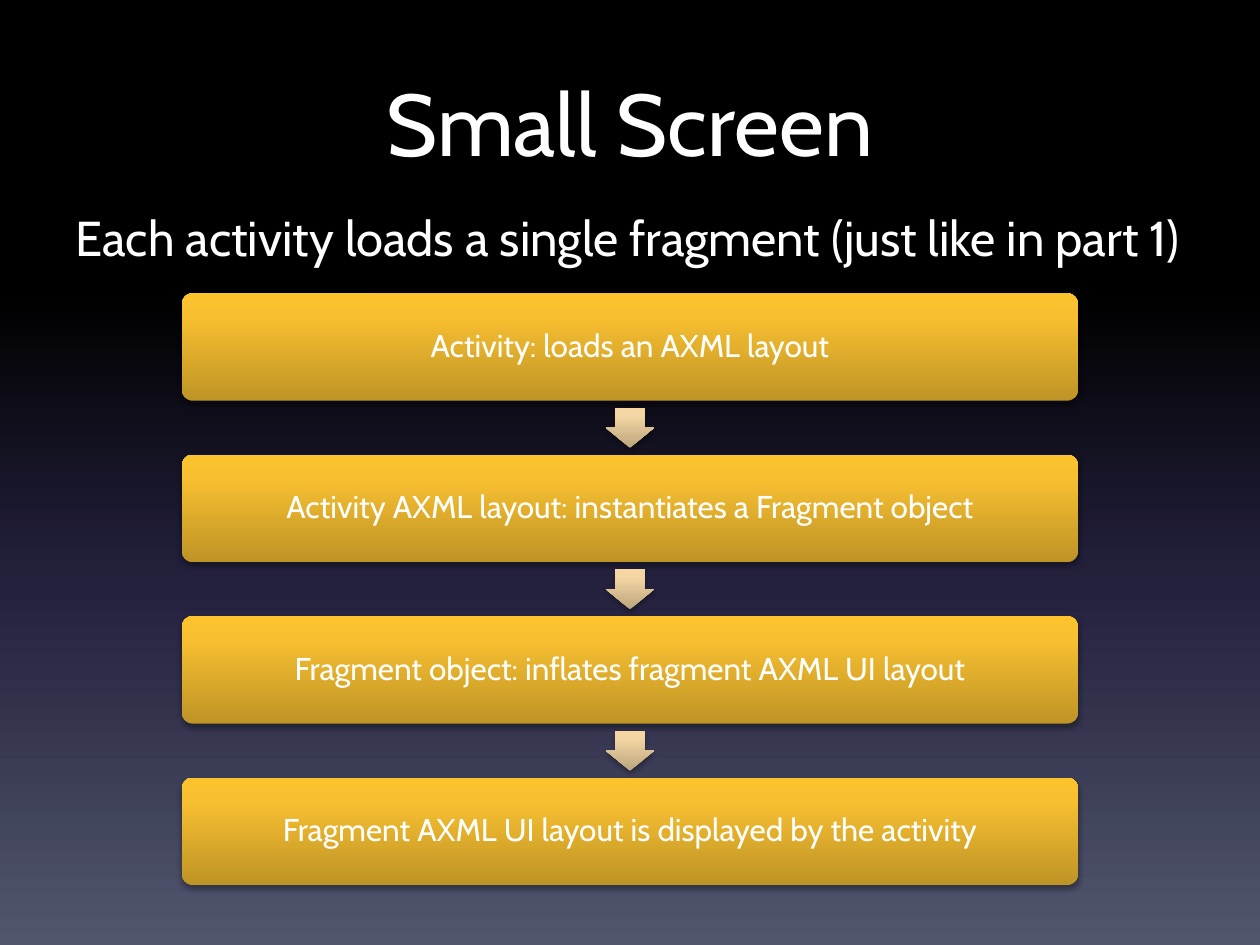
from lxml.etree import SubElement
from pptx import Presentation
from pptx.dml.color import RGBColor
from pptx.enum.shapes import MSO_SHAPE
from pptx.enum.text import MSO_ANCHOR, PP_ALIGN
from pptx.oxml.ns import qn
from pptx.util import Pt

FONT = "Cabin"
COLORS = {
    "text": "FFFFFF", "shadow": "000000",
    "night": "000000", "dusk": "24213E", "haze": "51566D",
    "gold_dark": "BF9426", "gold": "F8C031", "gold_light": "FDC32D",
    "sand_dark": "BBA57D", "sand": "F3D6A3", "sand_light": "F6D7A2",
}
SKY = [(0, "night"), (31, "night"), (62, "dusk"), (100, "haze")]
GOLD = [(0, "gold_dark"), (80, "gold"), (100, "gold_light")]
SAND = [(0, "sand_dark"), (80, "sand"), (100, "sand_light")]
STEPS = [
    "Activity: loads an AXML layout",
    "Activity AXML layout: instantiates a Fragment object",
    "Fragment object: inflates fragment AXML UI layout",
    "Fragment AXML UI layout is displayed by the activity",
]


def set_text(tf, text, size, align=PP_ALIGN.LEFT, anchor=MSO_ANCHOR.TOP,
             spacing=None):
    """Write one formatted paragraph into a text frame."""
    tf.word_wrap = True
    tf.vertical_anchor = anchor
    p = tf.paragraphs[0]
    p.alignment = align
    if spacing:
        p.line_spacing = spacing
    r = p.add_run()
    r.text = text
    r.font.name = FONT
    r.font.size = Pt(size)
    r.font.color.rgb = RGBColor.from_string(COLORS["text"])


def set_gradient(fill, element, stops, angle):
    """Give a fill its gradient stops; the angle runs counter-clockwise."""
    fill.gradient()
    fill.gradient_angle = angle
    gs_list = element.find(".//" + qn("a:gsLst"))
    for gs in list(gs_list):
        gs_list.remove(gs)
    for pos, name in stops:
        gs = SubElement(gs_list, qn("a:gs"), pos=str(pos * 1000))
        SubElement(gs, qn("a:srgbClr"), val=COLORS[name])


def add_shadow(sp):
    """Add a soft shadow below a shape."""
    sp.shadow.inherit = False
    effects = sp._element.spPr.find(qn("a:effectLst"))
    shadow = SubElement(effects, qn("a:outerShdw"), blurRad=str(Pt(3.1)),
                        dist=str(Pt(1.8)), dir="5400000", rotWithShape="0")
    color = SubElement(shadow, qn("a:srgbClr"), val=COLORS["shadow"])
    SubElement(color, qn("a:alpha"), val="35000")


def add_block(s, kind, left, top, width, height, stops, adjustments):
    """Add a gradient shape with a shadow and no outline."""
    sp = s.shapes.add_shape(kind, Pt(left), Pt(top), Pt(width), Pt(height))
    for i, value in enumerate(adjustments):
        sp.adjustments[i] = value
    set_gradient(sp.fill, sp._element.spPr, stops, 90)
    sp.line.fill.background()
    add_shadow(sp)
    return sp


def add_heading(s, left, top, width):
    """Place the title and the sentence under it."""
    title = s.shapes.title
    title.left, title.top = Pt(left), Pt(top)
    title.width, title.height = Pt(width), Pt(90)
    set_text(title.text_frame, "Small Screen", 50, align=PP_ALIGN.CENTER)
    box = s.shapes.add_textbox(Pt(left), Pt(top + 79.2), Pt(width), Pt(41))
    set_text(box.text_frame,
             "Each activity loads a single fragment (just like in part 1)", 28)


def add_flow(s, left, top, width, height, steps):
    """Stack the steps in a box, with a down arrow in each gap."""
    step_h, arrow_w, arrow_h = 61.4, 27.6, 23
    pitch = (height - step_h) / (len(steps) - 1)
    for i, text in enumerate(steps):
        y = top + i * pitch
        if i:
            gap_mid = y - (pitch - step_h) / 2
            add_block(s, MSO_SHAPE.DOWN_ARROW, left + (width - arrow_w) / 2,
                      gap_mid - arrow_h / 2, arrow_w, arrow_h, SAND,
                      (0.6, 0.5))
        sp = add_block(s, MSO_SHAPE.ROUNDED_RECTANGLE, left, y, width, step_h,
                       GOLD, (0.1,))
        set_text(sp.text_frame, text, 18, align=PP_ALIGN.CENTER,
                 anchor=MSO_ANCHOR.MIDDLE, spacing=0.9)


def add_slide(prs):
    """Build the slide on its gradient background."""
    s = prs.slides.add_slide(prs.slide_layouts[5])
    set_gradient(s.background.fill, s._element, SKY, 270)
    add_heading(s, 36, 36, 648)
    add_flow(s, 104, 167.6, 512, 338.2, STEPS)


prs = Presentation()
prs.slide_width, prs.slide_height = Pt(720), Pt(540)
add_slide(prs)
prs.save("out.pptx")
